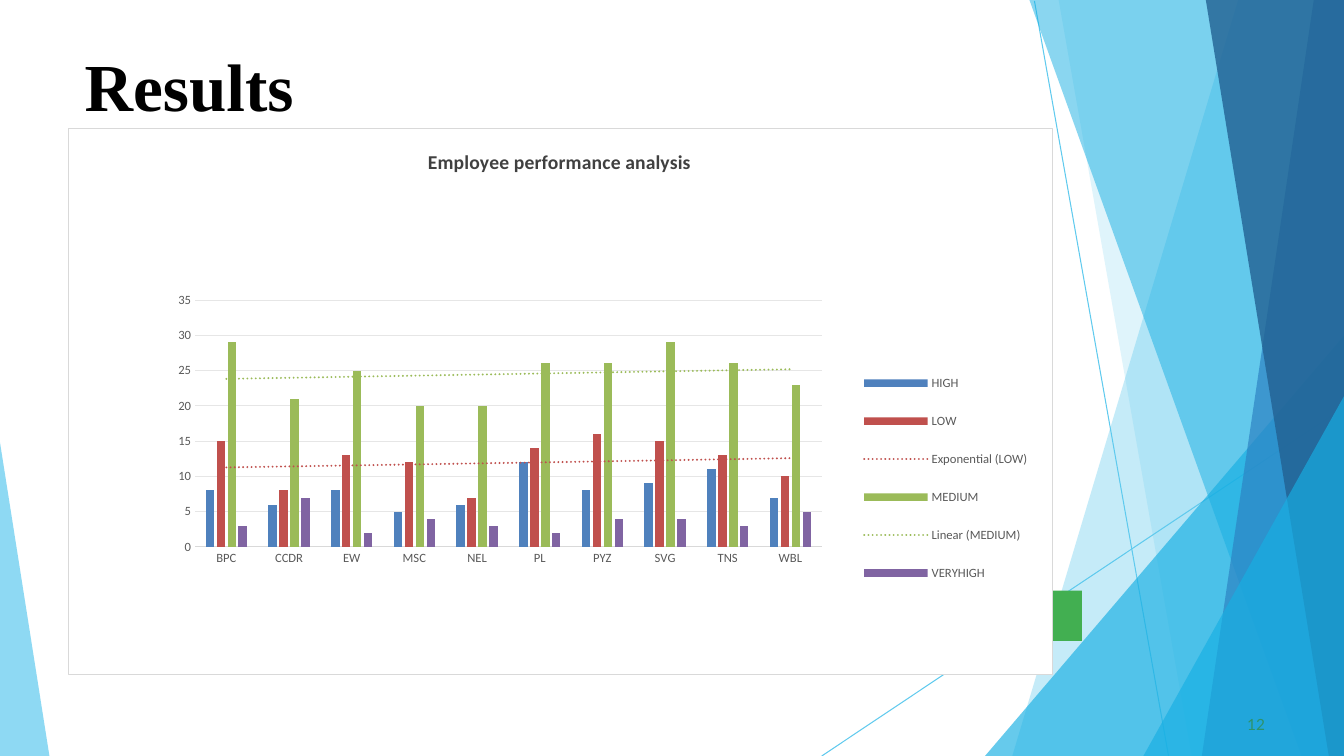
from lxml import etree
from pptx import Presentation
from pptx.chart.data import CategoryChartData
from pptx.dml.color import RGBColor
from pptx.enum.chart import XL_CHART_TYPE, XL_LEGEND_POSITION, XL_TICK_MARK
from pptx.enum.shapes import MSO_CONNECTOR, MSO_SHAPE
from pptx.oxml import parse_xml
from pptx.oxml.ns import nsdecls, qn
from pptx.util import Inches, Pt

COLUMNS = XL_CHART_TYPE.COLUMN_CLUSTERED
LEGEND_RIGHT = XL_LEGEND_POSITION.RIGHT
NO_TICK = XL_TICK_MARK.NONE
STRAIGHT = MSO_CONNECTOR.STRAIGHT
RECTANGLE = MSO_SHAPE.RECTANGLE

# Content
TITLE = "Results"
PAGE_NUMBER = "12"
CHART_TITLE = "Employee performance analysis"
CATEGORIES = ["BPC", "CCDR", "EW", "MSC", "NEL", "PL", "PYZ", "SVG", "TNS", "WBL"]
SERIES = [  # name, values, colour, trend line
    ("HIGH", [8, 6, 8, 5, 6, 12, 8, 9, 11, 7], "4F81BD", None),
    ("LOW", [15, 8, 13, 12, 7, 14, 16, 15, 13, 10], "C0504D", "exp"),
    ("MEDIUM", [29, 21, 25, 20, 20, 26, 26, 29, 26, 23], "9BBB59", "linear"),
    ("VERYHIGH", [3, 7, 2, 4, 3, 2, 4, 4, 3, 5], "8064A2", None),
]

THEME = {
    "sky": "5FCAEE", "cyan": "17AFE3", "blue": "2D83C3", "navy": "226192",
    "square": "42AF51", "number": "2D936B", "black": "000000", "white": "FFFFFF",
    "chart_title": "404040", "chart_text": "595959", "border": "D9D9D9", "grid": "E6E6E6",
    "title_font": "Times New Roman", "number_font": "Lato", "chart_font": "Calibri",
    "title_size": 48, "number_size": 11, "chart_title_size": 14, "chart_size": 9,
    "hairline": 0.75, "trend_line": 1.5,
}

# Geometry in inches
WIDTH, HEIGHT = 13.33, 7.5
RAYS = [((10.26, 0.01), (11.59, HEIGHT)), ((WIDTH, 4.04), (8.15, HEIGHT))]
RIGHT_BANDS = [  # top of right edge, top left x, bottom left x, colour, opacity %
    (0, 12.28, 10.04, "sky", 36),
    (0, 10.5, 11.82, "sky", 20),
    (3.33, WIDTH, 9.77, "cyan", 66),
    (0, 10.21, 12.91, "cyan", 50),
    (0, 13.03, 11.92, "blue", 70),
    (0, 11.96, 13.18, "navy", 80),
    (3.93, WIDTH, 11.34, "cyan", 66),
]
LEFT_WEDGE = [(0, 4.39), (0, HEIGHT), (0.49, HEIGHT)]
SQUARE_BOX = (10.23, 5.86, 0.5, 0.5)
TITLE_BOX = (0.83, 0.43, 11.68, 0.82)
NUMBER_BOX = (12.33, 7.08, 0.25, 0.21)
CHART_BOX = (0.67, 1.27, 9.77, 5.43)

# Shares of the chart area
PLOT_LAYOUT = {"x": 0.129, "y": 0.314, "w": 0.637, "h": 0.452}
LEGEND_LAYOUT = {"x": 0.802, "y": 0.41, "w": 0.18, "h": 0.46}
TITLE_LAYOUT = {"x": 0.362, "y": 0.03}


def rgb(name):
    return RGBColor.from_string(THEME.get(name, name))


def inches(lengths):
    return [Inches(length) for length in lengths]


def paint(shape, color, opacity=100):
    shape.shadow.inherit = False
    shape.line.fill.background()
    shape.fill.solid()
    shape.fill.fore_color.rgb = rgb(color)
    if opacity < 100:
        color_element = shape._element.spPr.find(".//" + qn("a:srgbClr"))
        etree.SubElement(color_element, qn("a:alpha"), val=str(opacity * 1000))


def add_polygon(slide, points, color, opacity):
    corners = [inches(point) for point in points]
    builder = slide.shapes.build_freeform(*corners[0])
    builder.add_line_segments(corners[1:], close=True)
    paint(builder.convert_to_shape(), color, opacity)


def style_font(font, size, color, family, bold=False):
    font.size, font.name, font.bold = Pt(size), THEME[family], bold
    font.color.rgb = rgb(color)


def add_text(slide, box, text, size, color, family, bold=False, indent=0, space=0):
    frame = slide.shapes.add_textbox(*inches(box)).text_frame
    frame.word_wrap = True
    frame.margin_left, frame.margin_top = Inches(indent), Inches(0.01)
    frame.margin_right = frame.margin_bottom = 0
    frame.text = text
    paragraph = frame.paragraphs[0]
    paragraph.space_before = Pt(space)
    style_font(paragraph.runs[0].font, size, color, family, bold)


def line_xml(color, width, dash="solid", cap="flat"):
    return (f'<a:ln w="{Pt(width)}" cap="{cap}"><a:solidFill>'
            f'<a:srgbClr val="{THEME.get(color, color)}"/>'
            f'</a:solidFill><a:prstDash val="{dash}"/></a:ln>')


def set_layout(parent, previous, shares, inner=False):
    for old in parent.findall(qn("c:layout")):
        parent.remove(old)
    target = '<c:layoutTarget val="inner"/>' if inner else ""
    modes = "".join(f'<c:{key}Mode val="edge"/>' for key in ("x", "y"))
    values = "".join(f'<c:{key} val="{share}"/>' for key, share in shares.items())
    layout = parse_xml(f'<c:layout {nsdecls("c")}><c:manualLayout>{target}{modes}{values}'
                       '</c:manualLayout></c:layout>')
    if previous is None:
        parent.insert(0, layout)
    else:
        previous.addnext(layout)


def add_trend_line(series, kind, color):
    line = line_xml(color, THEME["trend_line"], "sysDot", "rnd")
    trend = parse_xml(f'<c:trendline {nsdecls("c", "a")}><c:spPr>{line}</c:spPr>'
                      f'<c:trendlineType val="{kind}"/><c:dispRSqr val="0"/>'
                      '<c:dispEq val="0"/></c:trendline>')
    series._element.find(qn("c:cat")).addprevious(trend)


def add_results_chart(slide):
    data = CategoryChartData()
    data.categories = CATEGORIES
    for name, values, _, _ in SERIES:
        data.add_series(name, values)
    chart = slide.shapes.add_chart(COLUMNS, *inches(CHART_BOX), data).chart
    style_font(chart.font, THEME["chart_size"], "chart_text", "chart_font")

    # Columns and trend lines
    plot = chart.plots[0]
    plot.gap_width, plot.overlap, plot.vary_by_categories = 246, -28, False
    for series, (_, _, color, trend) in zip(plot.series, SERIES):
        series.format.fill.solid()
        series.format.fill.fore_color.rgb = rgb(color)
        if trend:
            add_trend_line(series, trend, color)

    # Axes
    for axis in (chart.category_axis, chart.value_axis):
        axis.major_tick_mark = axis.minor_tick_mark = NO_TICK
        style_font(axis.tick_labels.font, THEME["chart_size"], "chart_text", "chart_font")
    values = chart.value_axis
    values.minimum_scale, values.maximum_scale, values.major_unit = 0, 35, 5
    values.format.line.fill.background()
    values.has_major_gridlines = True
    for line, color in ((chart.category_axis.format.line, "border"),
                        (values.major_gridlines.format.line, "grid")):
        line.color.rgb, line.width = rgb(color), Pt(THEME["hairline"])

    # Title and legend
    chart.has_title = True
    frame = chart.chart_title.text_frame
    frame.text = CHART_TITLE
    style_font(frame.paragraphs[0].runs[0].font, THEME["chart_title_size"],
               "chart_title", "chart_font", True)
    chart.has_legend = True
    legend = chart.legend
    legend.position, legend.include_in_layout = LEGEND_RIGHT, False
    style_font(legend.font, THEME["chart_size"], "chart_text", "chart_font")

    # Placement and frame
    chart_element = chart._chartSpace.find(qn("c:chart"))
    title_element = chart_element.find(qn("c:title"))
    legend_element = chart_element.find(qn("c:legend"))
    set_layout(title_element, title_element.find(qn("c:tx")), TITLE_LAYOUT)
    set_layout(legend_element, legend_element.find(qn("c:legendPos")), LEGEND_LAYOUT)
    set_layout(chart_element.find(qn("c:plotArea")), None, PLOT_LAYOUT, inner=True)
    chart_element.addnext(parse_xml(
        f'<c:spPr {nsdecls("c", "a")}><a:solidFill><a:srgbClr val="{THEME["white"]}"/>'
        f'</a:solidFill>{line_xml("border", THEME["hairline"])}</c:spPr>'))


def main():
    presentation = Presentation()
    presentation.slide_width, presentation.slide_height = Inches(WIDTH), Inches(HEIGHT)
    slide = presentation.slides.add_slide(presentation.slide_layouts[6])

    # Background rays and bands
    for start, end in RAYS:
        ray = slide.shapes.add_connector(STRAIGHT, *inches(start + end))
        ray.line.color.rgb, ray.line.width = rgb("sky"), Pt(THEME["hairline"])
        etree.SubElement(ray._element.spPr, qn("a:effectLst"))
    for top, top_left, bottom_left, color, opacity in RIGHT_BANDS:
        points = [(WIDTH, top), (bottom_left, HEIGHT), (WIDTH, HEIGHT)]
        if top_left < WIDTH:
            points.insert(1, (top_left, top))
        add_polygon(slide, points, color, opacity)
    add_polygon(slide, LEFT_WEDGE, "sky", 70)
    paint(slide.shapes.add_shape(RECTANGLE, *inches(SQUARE_BOX)), "square")

    # Text and chart
    add_text(slide, TITLE_BOX, TITLE, THEME["title_size"], "black", "title_font",
             bold=True, indent=0.01, space=1.1)
    add_text(slide, NUMBER_BOX, PAGE_NUMBER, THEME["number_size"], "number", "number_font",
             indent=0.04, space=0.6)
    add_results_chart(slide)
    presentation.save("out.pptx")


if __name__ == "__main__":
    main()
